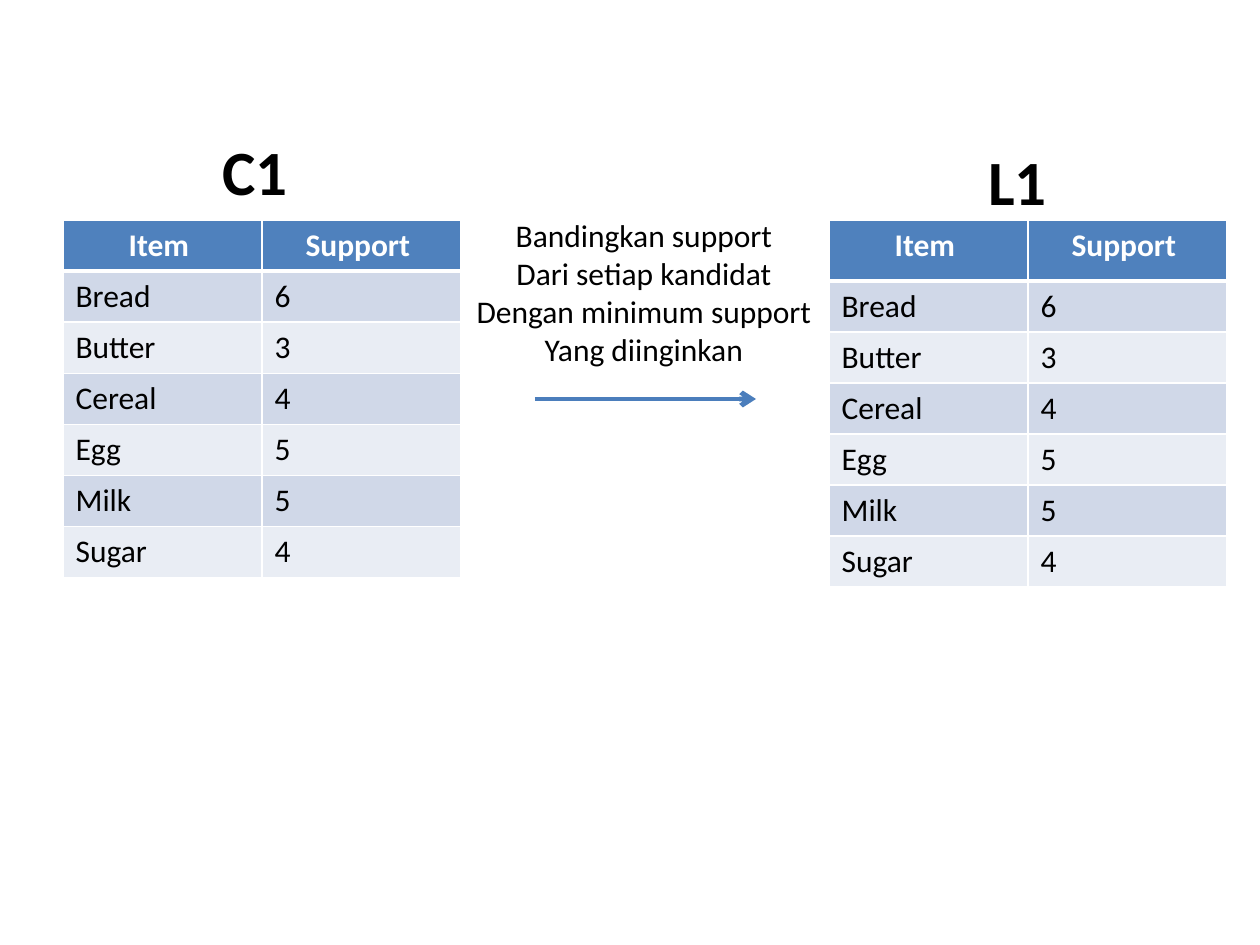
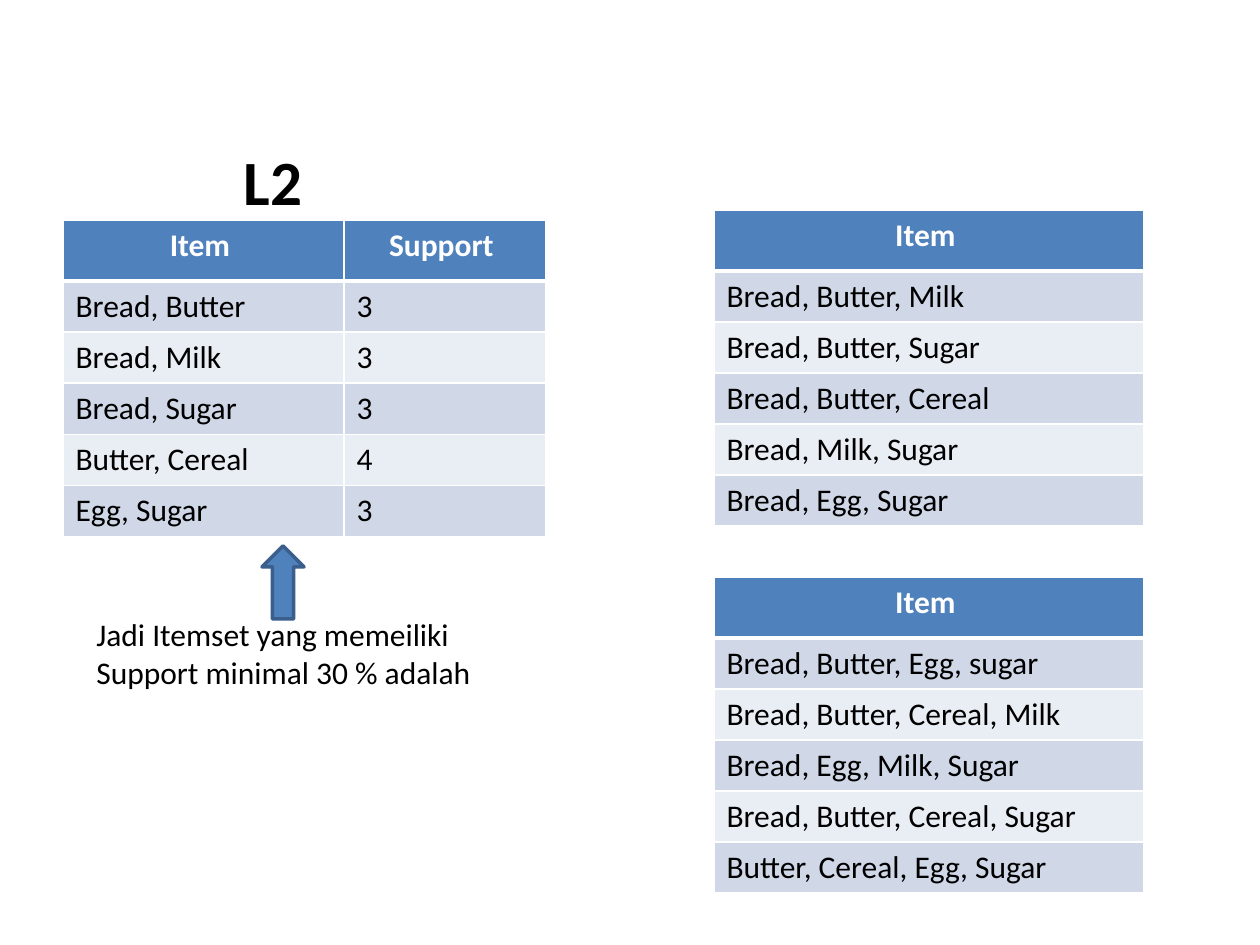
from lxml import etree
from pptx import Presentation
from pptx import util as u
from pptx.dml.color import RGBColor
from pptx.enum import shapes, text
from pptx.oxml import ns

SCALE = 914400 / 126
FONT = "Calibri"
BLACK, WHITE, BLUE = "000000", "FFFFFF", "4F81BD"
BANDS = ["E9EDF4", "D0D8E8"]
HEADER, ROW = 61, 51
LEFT, CENTER = text.PP_ALIGN.LEFT, text.PP_ALIGN.CENTER
color = RGBColor.from_string


def add_text(slide, box, lines, size=18, bold=False, alignment=LEFT):
    shape = slide.shapes.add_textbox(*[u.Emu(round(n * SCALE)) for n in box])
    frame = shape.text_frame
    frame.word_wrap = False
    frame.auto_size = text.MSO_AUTO_SIZE.SHAPE_TO_FIT_TEXT
    frame.text = "\n".join(lines)
    for paragraph in frame.paragraphs:
        paragraph.alignment = alignment
        font = paragraph.runs[0].font
        for name, value in {"name": FONT, "size": u.Pt(size), "bold": bold}.items():
            setattr(font, name, value)
        font.color.rgb = color(BLACK)


def add_table(slide, left, top, widths, rows, header=HEADER):
    heights = [header] + [ROW] * (len(rows) - 1)
    box = [left, top, sum(widths), sum(heights)]
    frame = slide.shapes.add_table(
        len(rows), len(widths), *[u.Emu(round(n * SCALE)) for n in box])
    table = frame.table
    for column, width in zip(table.columns, widths):
        column.width = u.Emu(round(width * SCALE))
    for r, (row, height) in enumerate(zip(rows, heights)):
        table.rows[r].height = u.Emu(round(height * SCALE))
        for c, value in enumerate(row):
            cell = table.cell(r, c)
            properties = cell._tc.get_or_add_tcPr()
            for side in "LRTB":
                thick = (r, side) in [(0, "B"), (1, "T")]
                line = etree.SubElement(properties, ns.qn(f"a:ln{side}"),
                                        w=str(u.Pt(3 if thick else 1)))
                fill = etree.SubElement(line, ns.qn("a:solidFill"))
                etree.SubElement(fill, ns.qn("a:srgbClr"), val=WHITE)
            cell.fill.solid()
            cell.fill.fore_color.rgb = color(BANDS[r % 2] if r else BLUE)
            cell.text = value
            paragraph = cell.text_frame.paragraphs[0]
            paragraph.alignment = LEFT if r else CENTER
            font = paragraph.runs[0].font
            for name, setting in {"name": FONT, "size": u.Pt(18), "bold": r == 0}.items():
                setattr(font, name, setting)
            font.color.rgb = color(BLACK if r else WHITE)


presentation = Presentation()
presentation.slide_width = u.Inches(10)
presentation.slide_height = u.Inches(7.5)
blank = presentation.slide_layouts[6]
support_header = ("Item ", "Support ")

slide = presentation.slides.add_slide(blank)
single_items = [support_header, ("Bread", "6"), ("Butter", "3"), ("Cereal", "4"),
                ("Egg", "5"), ("Milk", "5"), ("Sugar", "4")]
add_table(slide, 63, 220, [199, 199], single_items, header=ROW)
add_text(slide, (210, 126, 92, 89), ["C1"], 36, True)
arrow = slide.shapes.add_connector(
    shapes.MSO_CONNECTOR.STRAIGHT,
    *[u.Emu(round(n * SCALE)) for n in (535, 399, 756, 399)])
arrow.line.color.rgb = color("4B7EBC")
arrow.line.width = u.Pt(2.75)
etree.SubElement(arrow.line._get_or_add_ln(), ns.qn("a:tailEnd"), type="arrow")
etree.SubElement(arrow._element.spPr, ns.qn("a:effectLst"))
add_text(slide, (462, 210, 364, 165),
         ["Bandingkan support", "Dari setiap kandidat",
          "Dengan minimum support", "Yang diinginkan"], alignment=CENTER)
add_table(slide, 829, 220, [199, 199], single_items)
add_text(slide, (976, 136, 84, 89), ["L1"], 36, True)

slide = presentation.slides.add_slide(blank)
pairs = [support_header, ("Bread, Butter", "3"), ("Bread, Milk", "3"),
         ("Bread, Sugar", "3"), ("Butter, Cereal", "4"), ("Egg, Sugar", "3")]
add_table(slide, 63, 220, [281, 202], pairs)
add_text(slide, (231, 136, 84, 89), ["L2"], 36, True)
triples = ["Bread, Butter, Milk", "Bread, Butter, Sugar", "Bread, Butter, Cereal",
           "Bread, Milk, Sugar", "Bread, Egg, Sugar"]
quadruples = ["Bread, Butter, Egg, sugar", "Bread, Butter, Cereal, Milk",
              "Bread, Egg, Milk, Sugar", "Bread, Butter, Cereal, Sugar",
              "Butter, Cereal, Egg, Sugar"]
for top, itemsets in [(210, triples), (577, quadruples)]:
    add_table(slide, 714, top, [430], [(item,) for item in ["Item "] + itemsets])
add_text(slide, (84, 609, 404, 89),
         ["Jadi Itemset yang memeiliki", "Support minimal 30 % adalah"])
up_arrow = slide.shapes.add_shape(
    shapes.MSO_SHAPE.UP_ARROW,
    *[u.Emu(round(n * SCALE)) for n in (262, 546, 42, 73)])
up_arrow.shadow.inherit = False
up_arrow.fill.solid()
up_arrow.fill.fore_color.rgb = color(BLUE)
up_arrow.line.color.rgb = color("3A5F8C")
up_arrow.line.width = u.Pt(2)

presentation.save("out.pptx")
